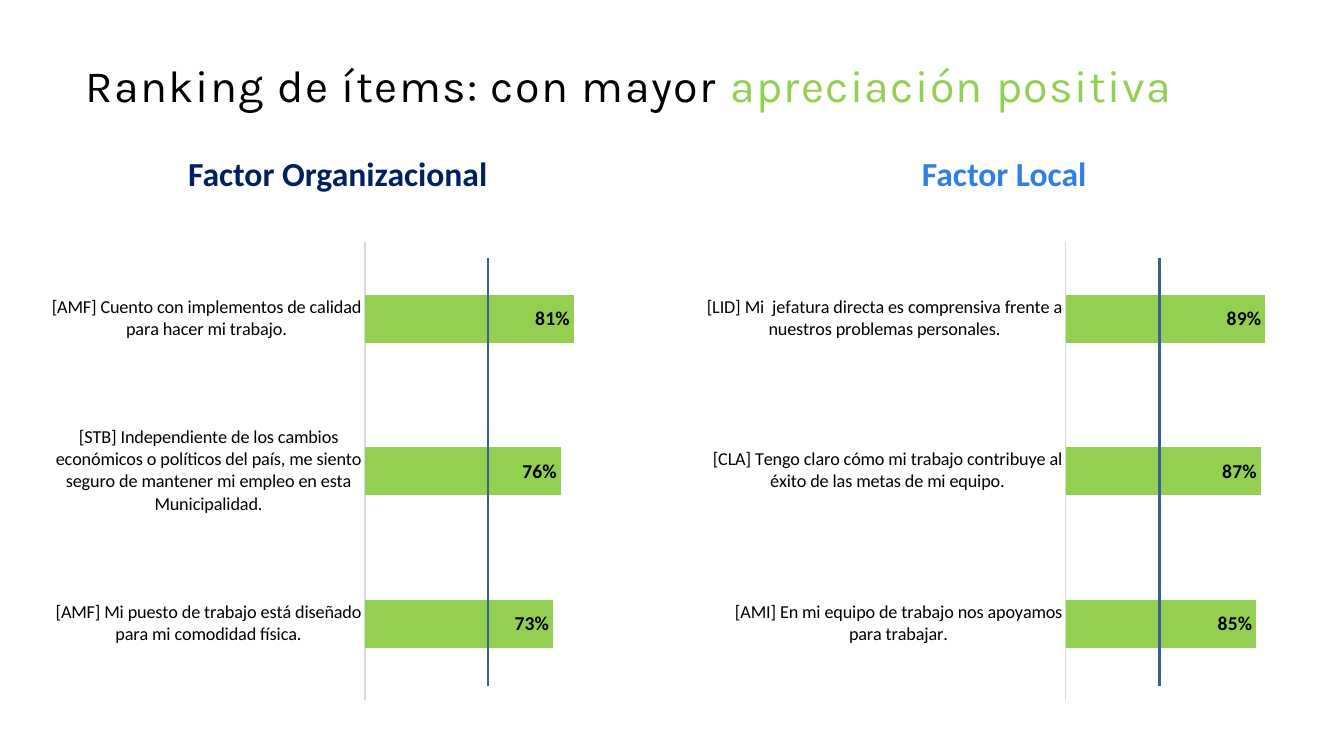
from lxml import etree
from pptx import Presentation, util as u
from pptx.chart.data import CategoryChartData
from pptx.dml.color import RGBColor
from pptx.enum import chart as charts, shapes, text
from pptx.oxml import parse_xml
from pptx.oxml.ns import nsdecls, qn

WIDTH, HEIGHT = 13.33, 7.5
CHART_WIDTH, CHART_HEIGHT = 5.91, 4.75
CHART_TOP = 2.31
GREEN, BLACK = "93D051", "000000"

FACTORS = [
    {
        "title": "Factor Organizacional", "color": "002060",
        "heading_left": 0.83, "left": 0.4, "plot": (0.545, 0.433), "reference": 4.84,
        "items": [
            ("[AMF] Mi puesto de trabajo está diseñado para mi comodidad física.", 0.73),
            ("[STB] Independiente de los cambios económicos o políticos del país, "
             "me siento seguro de mantener mi empleo en esta Municipalidad.", 0.76),
            ("[AMF] Cuento con implementos de calidad para hacer mi trabajo.", 0.81),
        ],
    },
    {
        "title": "Factor Local", "color": "307FE2",
        "heading_left": 7.44, "left": 7.01, "plot": (0.602, 0.377), "reference": 11.5,
        "items": [
            ("[AMI] En mi equipo de trabajo nos apoyamos para trabajar.", 0.85),
            ("[CLA] Tengo claro cómo mi trabajo contribuye al éxito de las metas de mi equipo.", 0.87),
            ("[LID] Mi  jefatura directa es comprensiva frente a nuestros problemas personales.", 0.89),
        ],
    },
]


def rgb(color):
    return RGBColor.from_string(color)


def style_font(font, name, size, color, bold=False):
    font.name = name
    font.size = u.Pt(size)
    font.bold = bold
    font.color.rgb = rgb(color)


def add_run(paragraph, words, name, size, color, bold=False):
    run = paragraph.add_run()
    run.text = words
    style_font(run.font, name, size, color, bold)
    return run


def add_title(slide, left, top, width, height):
    title = slide.shapes.title
    title.left, title.top, title.width, title.height = map(u.Inches, (left, top, width, height))
    frame = title.text_frame
    frame.margin_left = frame.margin_right = frame.margin_top = frame.margin_bottom = 0
    frame.vertical_anchor = text.MSO_ANCHOR.MIDDLE
    frame.auto_size = text.MSO_AUTO_SIZE.NONE
    paragraph = frame.paragraphs[0]
    paragraph.alignment = text.PP_ALIGN.LEFT
    paragraph.line_spacing = 0.9
    for words, color in (("Ranking de ítems: con mayor ", BLACK), ("apreciación positiva", GREEN)):
        run = add_run(paragraph, words, "Karla", 32, color)
        run.font._element.set("spc", "100")


def add_heading(slide, factor, top, width, height):
    box = slide.shapes.add_textbox(*map(u.Inches, (factor["heading_left"], top, width, height)))
    frame = box.text_frame
    frame.word_wrap = True
    frame.vertical_anchor = text.MSO_ANCHOR.MIDDLE
    paragraph = frame.paragraphs[0]
    paragraph.alignment = text.PP_ALIGN.CENTER
    paragraph.line_spacing = 0.9
    add_run(paragraph, factor["title"], "Calibri", 24, factor["color"], True)


def place_plot(chart, left, top, width, height):
    plot_area = chart._chartSpace.chart.plotArea
    for layout in plot_area.findall(qn("c:layout")):
        plot_area.remove(layout)
    layout = parse_xml(f"<c:layout {nsdecls('c')}><c:manualLayout/></c:layout>")
    settings = {"layoutTarget": "inner", "xMode": "edge", "yMode": "edge",
                "x": left, "y": top, "w": width, "h": height}
    for tag, value in settings.items():
        etree.SubElement(layout[0], qn(f"c:{tag}")).set("val", str(value))
    plot_area.insert(0, layout)


def add_ranking(slide, factor):
    data = CategoryChartData(number_format="0%")
    data.categories = [item for item, share in factor["items"]]
    data.add_series("Series 1", [share for item, share in factor["items"]])
    box = map(u.Inches, (factor["left"], CHART_TOP, CHART_WIDTH, CHART_HEIGHT))
    chart = slide.shapes.add_chart(charts.XL_CHART_TYPE.BAR_CLUSTERED, *box, data).chart
    chart.has_legend = False
    chart.has_title = False
    style_font(chart.font, "Calibri", 10, BLACK)

    items = chart.category_axis
    items.major_tick_mark = items.minor_tick_mark = charts.XL_TICK_MARK.NONE
    items.format.line.color.rgb = rgb("D9D9D9")
    items.format.line.width = u.Pt(0.75)
    style_font(items.tick_labels.font, "Calibri", 13, BLACK)

    shares = chart.value_axis
    shares.minimum_scale, shares.maximum_scale = 0, 1
    shares.has_major_gridlines = False
    shares.visible = False

    plot = chart.plots[0]
    plot.gap_width = 219
    plot.vary_by_categories = False
    series = plot.series[0]
    series.format.fill.solid()
    series.format.fill.fore_color.rgb = rgb(GREEN)
    labels = series.data_labels
    labels.show_value = True
    labels.number_format, labels.number_format_is_linked = "0%", False
    labels.position = charts.XL_LABEL_POSITION.INSIDE_END
    style_font(labels.font, "Calibri", 14, BLACK, True)

    left, width = factor["plot"]
    place_plot(chart, left, 0.02, width, 0.956)


def add_reference(slide, factor):
    x = factor["reference"]
    ends = (x, CHART_TOP + CHART_HEIGHT - 0.25, x, CHART_TOP + 0.25)
    line = slide.shapes.add_connector(shapes.MSO_CONNECTOR.STRAIGHT, *map(u.Inches, ends))
    line.line.color.rgb = rgb("376092")
    line.line.width = u.Pt(2)
    etree.SubElement(line._element.spPr, qn("a:effectLst"))


def add_factor(slide, factor):
    add_heading(slide, factor, 1.58, 5.04, 0.33)
    add_ranking(slide, factor)
    add_reference(slide, factor)


def main():
    presentation = Presentation()
    presentation.slide_width, presentation.slide_height = u.Inches(WIDTH), u.Inches(HEIGHT)
    slide = presentation.slides.add_slide(presentation.slide_layouts[5])
    add_title(slide, 0.85, 0.34, 11.78, 1.06)
    for factor in FACTORS:
        add_factor(slide, factor)
    presentation.save("out.pptx")


if __name__ == "__main__":
    main()
